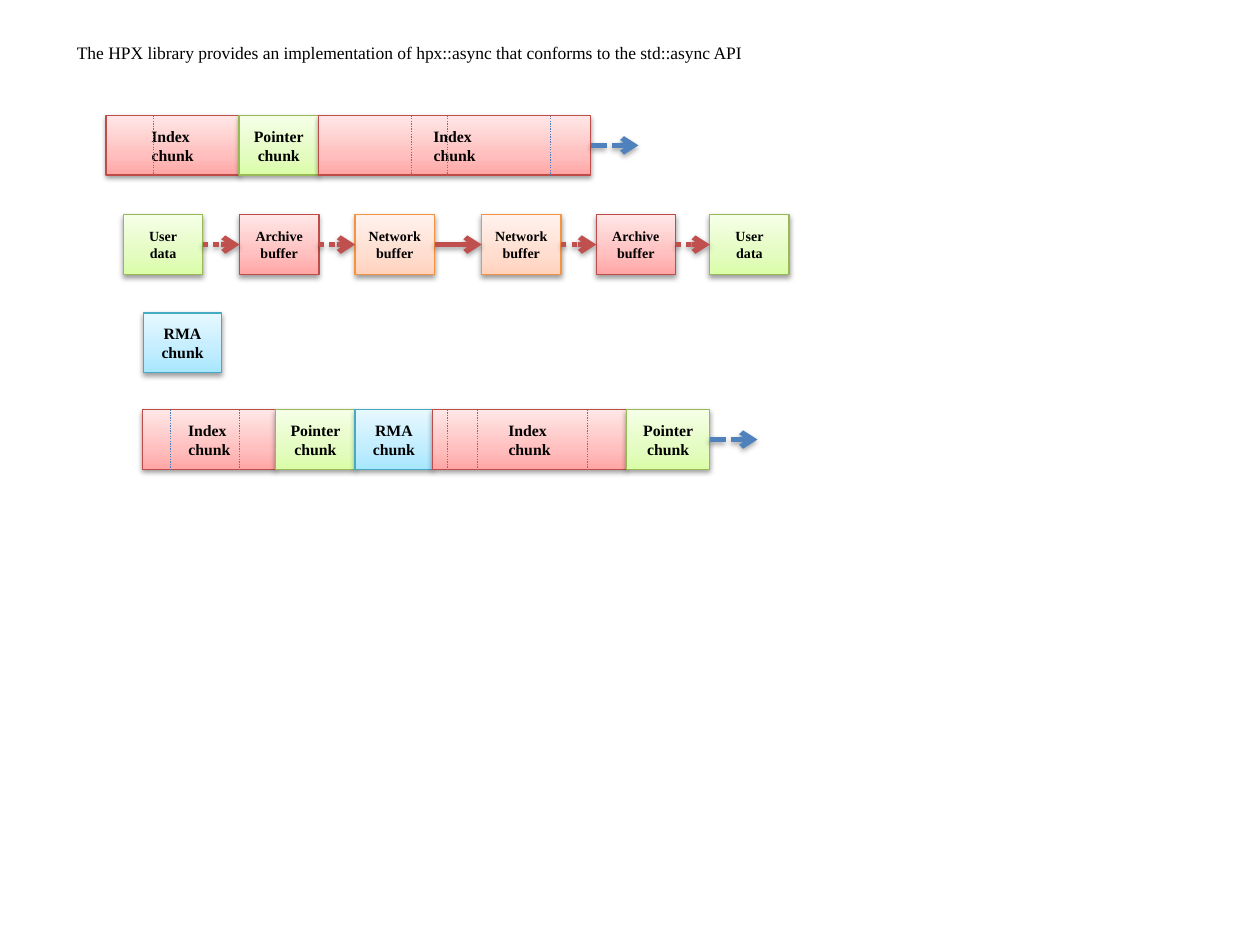
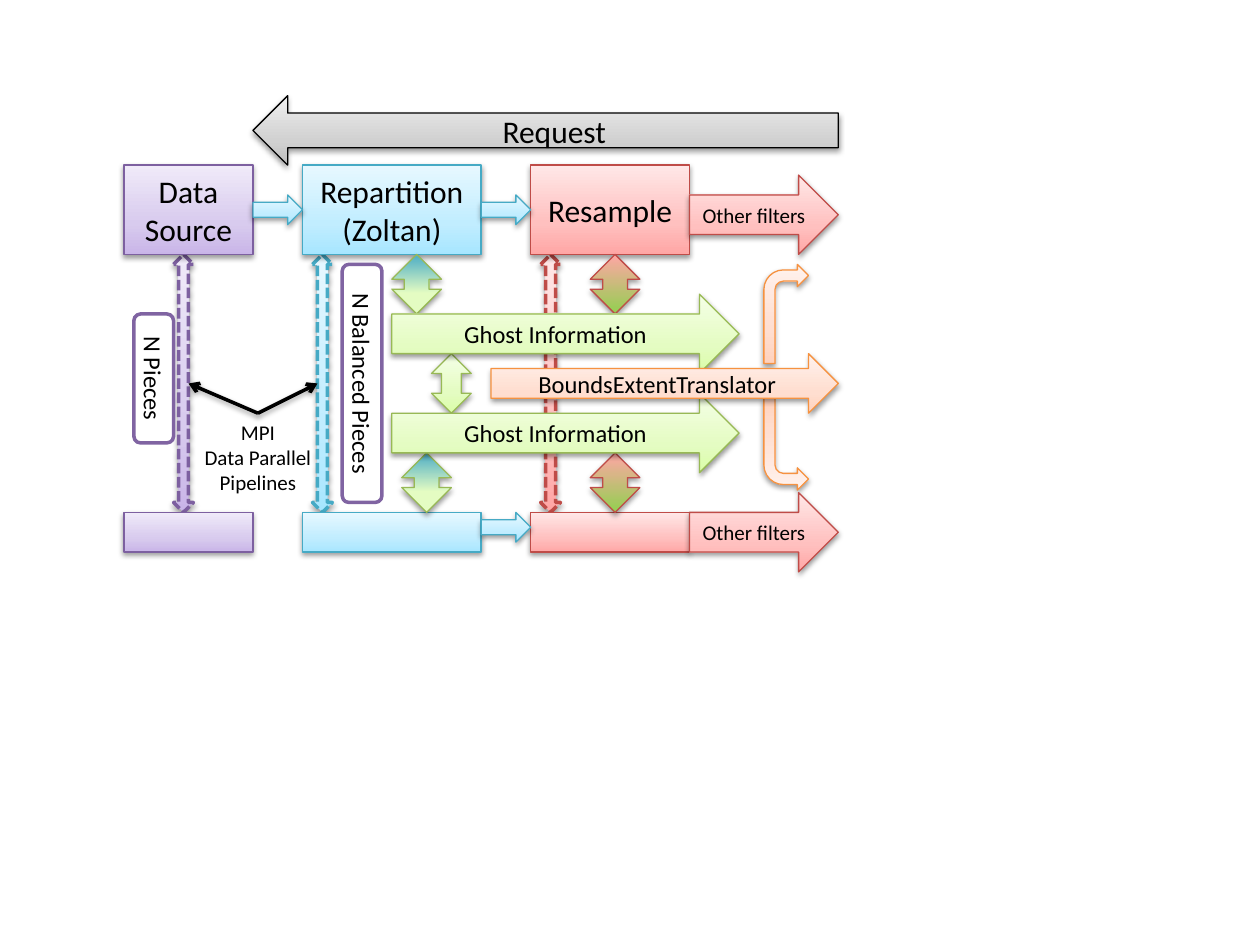
"""Build two pipeline diagrams, data chunks and parallel filters, on a shared 2 mm grid."""
import pptx
import pptx.util
import pptx.dml.color
import pptx.enum.dml
import pptx.enum.shapes
import pptx.enum.text
import pptx.oxml.ns
from lxml import etree

qn = pptx.oxml.ns.qn
Pt = pptx.util.Pt
Shape = pptx.enum.shapes.MSO_SHAPE
Align = pptx.enum.text.PP_ALIGN
DOT = pptx.enum.dml.MSO_LINE.ROUND_DOT
DASH = pptx.enum.dml.MSO_LINE.SQUARE_DOT
CELL = pptx.util.Mm(2)

COLOURS = {
    "black": "000000", "white": "FFFFFF", "frame": "8064A2",
    "divider": "4B7EBC", "output": "4F81BD", "transfer": "C0504D",
}
TINTS = {
    "red": {"line": "BF4C48", "angle": 270, "stops": {0: "FFA6A5", 35: "FFC0BF", 100: "FFE7E7"}},
    "green": {"line": "98B955", "angle": 270, "stops": {0: "DAFDA7", 35: "E4FCC2", 100: "F5FFE7"}},
    "orange": {"line": "F69240", "angle": 270, "stops": {0: "FFD2BD", 35: "FFDED0", 100: "FFF2ED"}},
    "blue": {"line": "46AAC5", "angle": 270, "stops": {0: "A7E6FF", 35: "C1EDFF", 100: "E7F8FF"}},
    "purple": {"line": "7D60A0", "angle": 270, "stops": {0: "C9B5E8", 35: "D8CBEE", 100: "F0EAF9"}},
    "grey": {"line": "000000", "angle": 270, "stops": {0: "BDBDBD", 35: "D1D1D1", 100: "EEEEEE"}},
    "red to green": {"line": "BF4C48", "angle": 90, "stops": {0: "FFA6A5", 100: "92D050"}},
    "blue to green": {"line": "98B955", "angle": 270,
                      "stops": {0: "E4FCC2", 35: "E4FCC2", 100: "4BACC6"}},
}
STYLES = {
    "title": {"name": "Times New Roman", "size": Pt(10), "bold": False},
    "chunk": {"name": "Times New Roman", "size": Pt(9), "bold": True},
    "buffer": {"name": "Times New Roman", "size": Pt(8), "bold": True},
    "stage": {"name": "Calibri", "size": Pt(18), "bold": False},
    "flow": {"name": "Calibri", "size": Pt(14), "bold": False},
    "note": {"name": "Calibri", "size": Pt(12), "bold": False},
}
SHADOW = {"blurRad": str(Pt(3.1)), "dist": str(Pt(1.6)), "dir": "5400000", "rotWithShape": "0"}


def add_box(area, kind, cells, tint=None, label="", style="flow", align=Align.CENTER, dash=None):
    """Add a tinted shape, a white frame, or a text box when kind is None."""
    page, left, top = area
    x, y, width, height = cells
    place = [int(CELL * n) for n in (left + x, top + y, width, height)]
    if kind is None:
        box = page.shapes.add_textbox(*place)
        box.text_frame.auto_size = pptx.enum.text.MSO_AUTO_SIZE.SHAPE_TO_FIT_TEXT
    else:
        box = page.shapes.add_shape(kind, *place)
        box.shadow.inherit = False
        box.line.width = Pt(2 if dash or not tint else 0.75)
        line_colour = TINTS[tint]["line"] if tint else COLOURS["frame"]
        box.line.color.rgb = pptx.dml.color.RGBColor.from_string(line_colour)
        if dash:
            box.line.dash_style = dash
        if tint:
            box.fill.gradient()
            gradient = box._element.spPr.find(qn("a:gradFill"))
            stops = gradient.find(qn("a:gsLst"))
            for stop in list(stops):
                stops.remove(stop)
            for share, colour in TINTS[tint]["stops"].items():
                stop = etree.SubElement(stops, qn("a:gs"), pos=str(share * 1000))
                etree.SubElement(stop, qn("a:srgbClr"), val=colour)
            gradient.find(qn("a:lin")).set("ang", str(TINTS[tint]["angle"] * 60000))
            effects = box._element.spPr.find(qn("a:effectLst"))
            shade = etree.SubElement(effects, qn("a:outerShdw"), SHADOW)
            shade = etree.SubElement(shade, qn("a:srgbClr"), val=COLOURS["black"])
            etree.SubElement(shade, qn("a:alpha"), val="38000")
        else:
            box.fill.solid()
            box.fill.fore_color.rgb = pptx.dml.color.RGBColor.from_string(COLOURS["white"])
    if label:
        box.text_frame.word_wrap = True
        box.text_frame.text = label
        for para in box.text_frame.paragraphs:
            para.alignment = align
            for span in para.runs:
                span.font.color.rgb = pptx.dml.color.RGBColor.from_string(COLOURS["black"])
                for name, value in STYLES[style].items():
                    setattr(span.font, name, value)
    return box


def add_line(area, start, end, colour, width=0.75, dash=None, arrow=False, joins=()):
    """Add a straight line; arrows get a head and a shadow, joins hold (box, side)."""
    page, left, top = area
    ends = [int(CELL * n) for n in (left + start[0], top + start[1], left + end[0], top + end[1])]
    line = page.shapes.add_connector(pptx.enum.shapes.MSO_CONNECTOR.STRAIGHT, *ends)
    for connect, join in zip((line.begin_connect, line.end_connect), joins):
        connect(*join)
    line.line.width = Pt(width)
    line.line.color.rgb = pptx.dml.color.RGBColor.from_string(COLOURS[colour])
    if dash:
        line.line.dash_style = dash
    effects = etree.SubElement(line._element.spPr, qn("a:effectLst"))
    if arrow:
        etree.SubElement(line._element.spPr.find(qn("a:ln")), qn("a:tailEnd"), type="arrow")
        shade = etree.SubElement(effects, qn("a:outerShdw"), SHADOW)
        shade = etree.SubElement(shade, qn("a:srgbClr"), val=COLOURS["black"])
        etree.SubElement(shade, qn("a:alpha"), val="35000")


deck = pptx.Presentation()
deck.slide_width = pptx.util.Inches(10)
deck.slide_height = pptx.util.Inches(7.5)
blank = deck.slide_layouts[6]

chunks = (deck.slides.add_slide(blank), 10.7, 11.65)
add_box(chunks, None, (-4.2, -8, 70.9, 3.4), style="title", align=Align.LEFT,
        label="The HPX library provides an implementation of hpx::async "
              "that conforms to the std::async API")

KINDS = {"Index ": "red", "Pointer": "green", "RMA": "blue"}
archives = [
    (0, 0, [("Index ", 13.4), ("Pointer", 8), ("Index ", 27.45)], [4.8, 30.8, 34.4, 44.8]),
    (3.7, 29.65, [("Index ", 13.4), ("Pointer", 8), ("RMA", 7.8), ("Index ", 19.55),
                  ("Pointer", 8.4)], [6.45, 13.45, 34.4, 37.45, 48.5]),
]
for x, y, parts, dividers in archives:
    for kind, width in parts:
        last = add_box(chunks, Shape.RECTANGLE, (x, y, width, 6), KINDS[kind],
                       kind + "\nchunk", "chunk")
        x += width
    add_line(chunks, (x, y + 3), (x + 4.8, y + 3), "output", 3, DASH, True, [(last, 3)])
    for divider in dividers:
        add_line(chunks, (divider, y), (divider, y + 6), "divider", dash=DOT)
add_box(chunks, Shape.RECTANGLE, (3.8, 19.9, 7.8, 6), "blue", "RMA\nchunk", "chunk")

buffers = [
    (1.75, "green", "User\ndata"), (13.45, "red", "Archive\nbuffer"),
    (25.1, "orange", "Network\nbuffer"), (37.85, "orange", "Network\nbuffer"),
    (49.4, "red", "Archive\nbuffer"), (60.85, "green", "User\ndata"),
]
steps = [add_box(chunks, Shape.RECTANGLE, (x, 10, 8, 6), tint, label, "buffer")
         for x, tint, label in buffers]
for number, (source, target) in enumerate(zip(steps, steps[1:])):
    across_network = number == 2
    add_line(chunks, (0, 13), (0, 13), "transfer", 3, None if across_network else DOT, True,
             [(source, 3), (target, 1)])

filters = (deck.slides.add_slide(blank), 12.5, 9.65)
lower_bend = add_box(filters, Shape.BENT_ARROW, (64.5, 30.5, 4.5, 9.25), "orange")
lower_bend.rotation = 180
lower_bend._element.spPr.find(qn("a:xfrm")).set("flipH", "1")
add_box(filters, Shape.BENT_ARROW, (64.5, 17, 4.5, 10), "orange")

for x, tint in [(5, "purple"), (42, "red"), (19, "blue")]:
    add_box(filters, Shape.UP_DOWN_ARROW, (x, 16, 2, 26), tint, dash=DASH)

stages = [(0, 13, "purple", "Data\nSource"), (18, 18, "blue", "Repartition\n(Zoltan)"),
          (41, 16, "red", "Resample")]
for x, width, tint, label in stages:
    add_box(filters, Shape.RECTANGLE, (x, 7, width, 9), tint, label, "stage")
    add_box(filters, Shape.RECTANGLE, (x, 42, width, 4), tint)
for x, y in [(13, 10), (36, 10), (36, 42)]:
    add_box(filters, Shape.RIGHT_ARROW, (x, y, 5, 3), "blue")
for x, y, tint in [(47, 16, "red to green"), (27, 16, "blue to green"),
                   (47, 36, "red to green"), (28, 36, "blue to green")]:
    add_box(filters, Shape.UP_DOWN_ARROW, (x, y, 5, 6), tint)

pipelines = add_box(filters, None, (8, 32, 11, 9), label="MPI\nData Parallel Pipelines",
                    style="note")
pipelines.text_frame.margin_left = pipelines.text_frame.margin_right = 0
for x in (6.5, 19.5):
    add_line(filters, (13.5, 32), (x, 29), "black", 2, arrow=True, joins=[(pipelines, 0)])

add_box(filters, Shape.UP_DOWN_ARROW, (31, 26, 4, 6), "green")
for y in (8, 40):
    add_box(filters, Shape.RIGHT_ARROW, (57, y, 15, 8), "red", "Other filters", "note")
for x, y, height, label in [(1, 22, 13, "N Pieces"), (22, 17, 24, "N Balanced Pieces")]:
    pieces = add_box(filters, Shape.ROUNDED_RECTANGLE, (x, y, 4, height), label=label)
    pieces.text_frame._txBody.bodyPr.set("vert", "vert")
for y in (20, 30):
    add_box(filters, Shape.RIGHT_ARROW, (27, y, 35, 8), "green", "Ghost Information")
add_box(filters, Shape.RIGHT_ARROW, (37, 26, 35, 6), "orange", "BoundsExtentTranslator")
add_box(filters, Shape.LEFT_ARROW, (13, 0, 59, 7), "grey", "Request", "stage")

deck.save("out.pptx")
